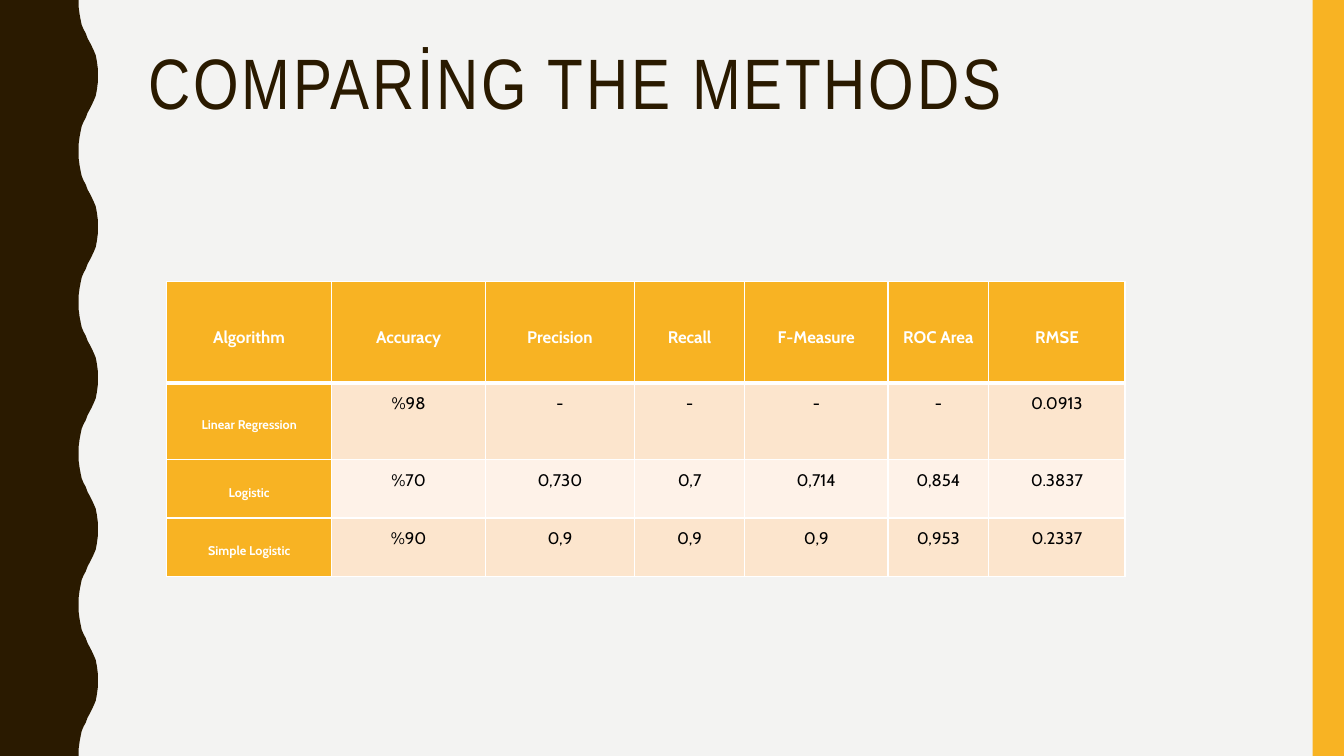
from lxml import etree
from pptx import Presentation
from pptx.dml.color import RGBColor
from pptx.enum.shapes import MSO_SHAPE
from pptx.enum.text import MSO_ANCHOR, MSO_AUTO_SIZE, PP_ALIGN
from pptx.oxml.ns import qn
from pptx.util import Inches, Pt

RECTANGLE = MSO_SHAPE.RECTANGLE
TOP, MIDDLE = MSO_ANCHOR.TOP, MSO_ANCHOR.MIDDLE
LEFT, CENTER = PP_ALIGN.LEFT, PP_ALIGN.CENTER
NO_AUTOFIT = MSO_AUTO_SIZE.NONE

PAPER = RGBColor(0xF3, 0xF3, 0xF2)
BROWN = RGBColor(0x2A, 0x1A, 0x00)
AMBER = RGBColor(0xF8, 0xB3, 0x23)
PEACH = RGBColor(0xFC, 0xE5, 0xCD)
CREAM = RGBColor(0xFE, 0xF2, 0xE8)
WHITE = RGBColor(0xFF, 0xFF, 0xFF)
BLACK = RGBColor(0x00, 0x00, 0x00)

TITLE_FONT, TABLE_FONT = "Arial Narrow", "Cabin"
TITLE_ONLY_LAYOUT = 5

RESULTS = [
    ["Algorithm", "Accuracy", "Precision", "Recall", "F-Measure", "ROC Area", "RMSE"],
    ["Linear Regression", "%98", "-", "-", "-", "-", "0.0913"],
    ["Logistic", "%70", "0,730", "0,7", "0,714", "0,854", "0.3837"],
    ["Simple Logistic", "%90", "0,9", "0,9", "0,9", "0,953", "0.2337"],
]
COLUMN_WEIGHTS = [1.64, 1.52, 1.48, 1.09, 1.42, 1, 1.35]
ROW_WEIGHTS = [1.01, 0.76, 0.58, 0.58]

# Trough to crest: (share of the half wave's height, share of its swing)
HALF_WAVE = [(0, 0), (0.09, 0), (0.19, 0.05), (0.27, 0.11), (0.33, 0.16),
             (0.39, 0.26), (0.44, 0.37), (0.51, 0.47), (0.56, 0.58),
             (0.61, 0.68), (0.67, 0.79), (0.73, 0.89), (0.81, 0.95),
             (0.91, 1), (1, 1)]


class SlideBuilder:
    """Holds the deck's style and draws on the current slide in percent."""

    def __init__(self, deck):
        """Add a title slide with the paper background."""
        self.width, self.height = deck.slide_width, deck.slide_height
        self.slide = deck.slides.add_slide(deck.slide_layouts[TITLE_ONLY_LAYOUT])
        background = self.slide.background.fill
        background.solid()
        background.fore_color.rgb = PAPER

    def across(self, percent):
        """Turn a percentage of the slide's width into a length."""
        return round(self.width * percent / 100)

    def down(self, percent):
        """Turn a percentage of the slide's height into a length."""
        return round(self.height * percent / 100)

    def box(self, left, top, width, height):
        """Return the four lengths of a box."""
        return self.across(left), self.down(top), self.across(width), self.down(height)

    def paint(self, shape, color):
        """Fill a shape flatly, without outline or shadow."""
        shape.fill.solid()
        shape.fill.fore_color.rgb = color
        shape.line.fill.background()
        shape.shadow.inherit = False

    def style_font(self, font, name, size, color, bold=False):
        """Set the look of a run."""
        font.name, font.size, font.bold = name, Pt(size), bold
        font.color.rgb = color

    def bar(self, left, top, width, height, color):
        """Draw a plain rectangle."""
        area = self.box(left, top, width, height)
        self.paint(self.slide.shapes.add_shape(RECTANGLE, *area), color)

    def wavy_band(self, trough, crest, half_waves, color):
        """Draw a band on the left whose right edge is a wave."""
        step = 100 / half_waves
        edge = []
        for index in range(half_waves):
            rising = index % 2 == 0
            profile = HALF_WAVE if rising else [(1 - y, x) for y, x in HALF_WAVE[::-1]]
            edge += [(self.across(trough + (crest - trough) * x),
                      self.down((index + y) * step)) for y, x in profile]
        outline = self.slide.shapes.build_freeform(0, 0)
        outline.add_line_segments(edge + [(0, self.height)], close=True)
        self.paint(outline.convert_to_shape(), color)

    def title(self, wording, left, top, width, height):
        """Fill and place the title placeholder."""
        heading = self.slide.shapes.title
        heading.left, heading.top, heading.width, heading.height = self.box(
            left, top, width, height)
        frame = heading.text_frame
        frame.text = wording
        frame.word_wrap, frame.auto_size = True, NO_AUTOFIT
        frame.vertical_anchor = TOP
        paragraph = frame.paragraphs[0]
        paragraph.alignment, paragraph.line_spacing = LEFT, 0.9
        run = paragraph.runs[0]
        self.style_font(run.font, TITLE_FONT, 51, BROWN)
        run.font._element.set("spc", "200")

    def borders(self, cell, top=1, bottom=1):
        """Give a cell white borders, with widths in points."""
        properties = cell._tc.get_or_add_tcPr()
        for side, width in (("L", 1), ("R", 1), ("T", top), ("B", bottom)):
            line = etree.SubElement(properties, qn(f"a:ln{side}"), w=str(Pt(width)))
            fill = etree.SubElement(line, qn("a:solidFill"))
            etree.SubElement(fill, qn("a:srgbClr"), val=str(WHITE))

    def cell(self, cell, wording, row, column):
        """Write and style one cell by its place in the table."""
        is_header, is_label = row == 0, column == 0
        is_heading = is_header or is_label
        self.borders(cell, top=3 if row == 1 else 1, bottom=3 if is_header else 1)
        cell.fill.solid()
        cell.fill.fore_color.rgb = AMBER if is_heading else (PEACH if row % 2 else CREAM)
        cell.margin_left = cell.margin_right = Inches(0.07)
        cell.margin_top = cell.margin_bottom = 0
        cell.vertical_anchor = MIDDLE if is_heading else TOP
        cell.text_frame.text = wording
        paragraph = cell.text_frame.paragraphs[0]
        paragraph.alignment, paragraph.line_spacing = CENTER, 1.5
        self.style_font(paragraph.runs[0].font, TABLE_FONT,
                        9 if is_label and not is_header else 12,
                        WHITE if is_heading else BLACK, is_heading)

    def table(self, rows, left, top, width, height):
        """Draw the table, sharing its size out by the weights."""
        area = self.box(left, top, width, height)
        grid = self.slide.shapes.add_table(len(rows), len(rows[0]), *area).table
        for column, weight in zip(grid.columns, COLUMN_WEIGHTS):
            column.width = round(area[2] * weight / sum(COLUMN_WEIGHTS))
        for line, weight in zip(grid.rows, ROW_WEIGHTS):
            line.height = round(area[3] * weight / sum(ROW_WEIGHTS))
        for row, values in enumerate(rows):
            for column, wording in enumerate(values):
                self.cell(grid.cell(row, column), wording, row, column)


def main():
    """Build the slide and save it."""
    deck = Presentation()
    deck.slide_width, deck.slide_height = Inches(13.33), Inches(7.5)
    comparison = SlideBuilder(deck)
    comparison.wavy_band(5.85, 7.28, 10, BROWN)
    comparison.bar(97.67, 0, 2.33, 100, AMBER)
    comparison.title("COMPARİNG THE METHODS", 10.28, 5.6, 83.5, 21.73)
    comparison.table(RESULTS, 12.38, 37.2, 71.34, 39.07)
    deck.save("out.pptx")


main()
